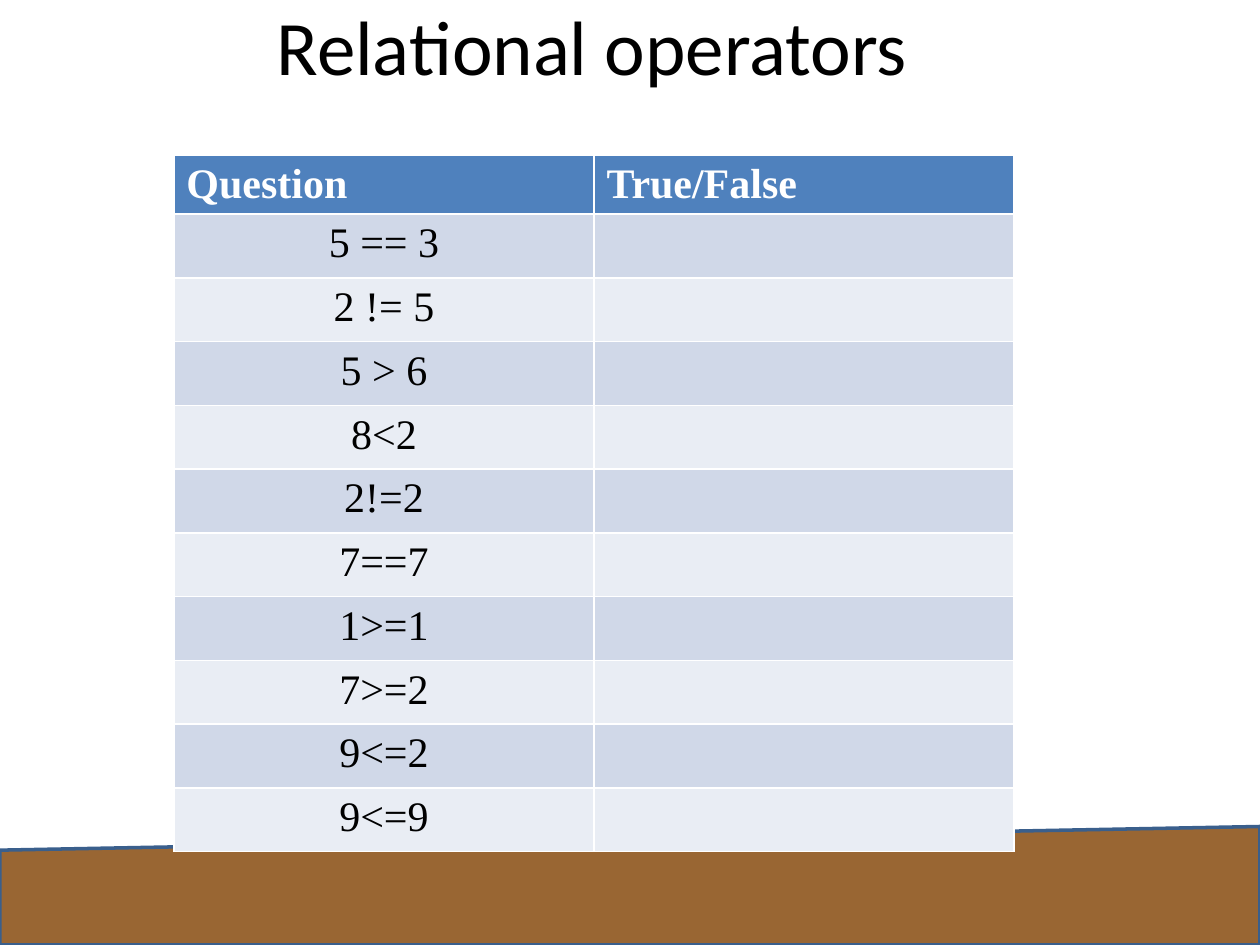
from typing import NamedTuple

from pptx import Presentation
from pptx.dml.color import RGBColor
from pptx.enum.shapes import MSO_SHAPE
from pptx.enum.text import MSO_ANCHOR, PP_ALIGN
from pptx.util import Inches, Pt

LEFT, CENTER = PP_ALIGN.LEFT, PP_ALIGN.CENTER
MIDDLE = MSO_ANCHOR.MIDDLE
SLOPED_BAND = MSO_SHAPE.FLOWCHART_MANUAL_INPUT

BLACK = RGBColor(0x00, 0x00, 0x00)
WHITE = RGBColor(0xFF, 0xFF, 0xFF)
BROWN = RGBColor(0x99, 0x66, 0x33)
BAND_LINE = RGBColor(0x3A, 0x5F, 0x8C)
HEADER_BLUE = RGBColor(0x4F, 0x81, 0xBD)
ROW_FILLS = (RGBColor(0xD0, 0xD8, 0xE8), RGBColor(0xE9, 0xED, 0xF4))

HEADERS = ("Question", "True/False")
QUESTIONS = ("5 == 3", "2 != 5", "5 > 6", "8<2", "2!=2",
             "7==7", "1>=1", "7>=2", "9<=2", "9<=9")
TABLE_HEIGHT = 5.53
HEADER_HEIGHT = 0.47
ROW_HEIGHT = (TABLE_HEIGHT - HEADER_HEIGHT) / len(QUESTIONS)


class CellStyle(NamedTuple):
    fill: RGBColor
    color: RGBColor
    bold: bool
    alignment: PP_ALIGN


HEADER_STYLE = CellStyle(HEADER_BLUE, WHITE, True, LEFT)
ROW_STYLES = [CellStyle(fill, BLACK, False, CENTER) for fill in ROW_FILLS]


def add_ground_band(slide) -> None:
    band = slide.shapes.add_shape(
        SLOPED_BAND, Inches(0), Inches(6.56), Inches(10), Inches(0.94))
    band.shadow.inherit = False
    band.fill.solid()
    band.fill.fore_color.rgb = BROWN
    band.line.color.rgb = BAND_LINE
    band.line.width = Pt(2)


def set_title(slide, text: str) -> None:
    title = slide.shapes.title
    title.left, title.top = Inches(0.2), Inches(-0.27)
    title.width, title.height = Inches(9), Inches(1.25)
    title.text_frame.text = text
    title.text_frame.vertical_anchor = MIDDLE
    paragraph = title.text_frame.paragraphs[0]
    paragraph.alignment = CENTER
    font = paragraph.runs[0].font
    font.name, font.size = "Calibri", Pt(44)
    font.color.rgb = BLACK


def fill_cell(cell, text: str, style: CellStyle) -> None:
    cell.fill.solid()
    cell.fill.fore_color.rgb = style.fill
    if not text:
        return
    cell.text_frame.text = text
    paragraph = cell.text_frame.paragraphs[0]
    paragraph.alignment = style.alignment
    font = paragraph.runs[0].font
    font.name, font.size = "Times New Roman", Pt(24)
    font.bold = style.bold
    font.color.rgb = style.color


def add_question_table(slide) -> None:
    table = slide.shapes.add_table(
        len(QUESTIONS) + 1, len(HEADERS), Inches(1.38), Inches(1.23),
        Inches(6.67), Inches(TABLE_HEIGHT)).table
    rows = [HEADERS] + [(question, "") for question in QUESTIONS]
    for index, texts in enumerate(rows):
        is_header = index == 0
        style = HEADER_STYLE if is_header else ROW_STYLES[(index - 1) % 2]
        table.rows[index].height = Inches(HEADER_HEIGHT if is_header else ROW_HEIGHT)
        for column, text in enumerate(texts):
            fill_cell(table.cell(index, column), text, style)


def main() -> None:
    presentation = Presentation()
    presentation.slide_width = Inches(10)
    presentation.slide_height = Inches(7.5)
    title_only = presentation.slide_layouts[5]
    slide = presentation.slides.add_slide(title_only)
    add_ground_band(slide)
    set_title(slide, "Relational operators")
    add_question_table(slide)
    presentation.save("out.pptx")


if __name__ == "__main__":
    main()
